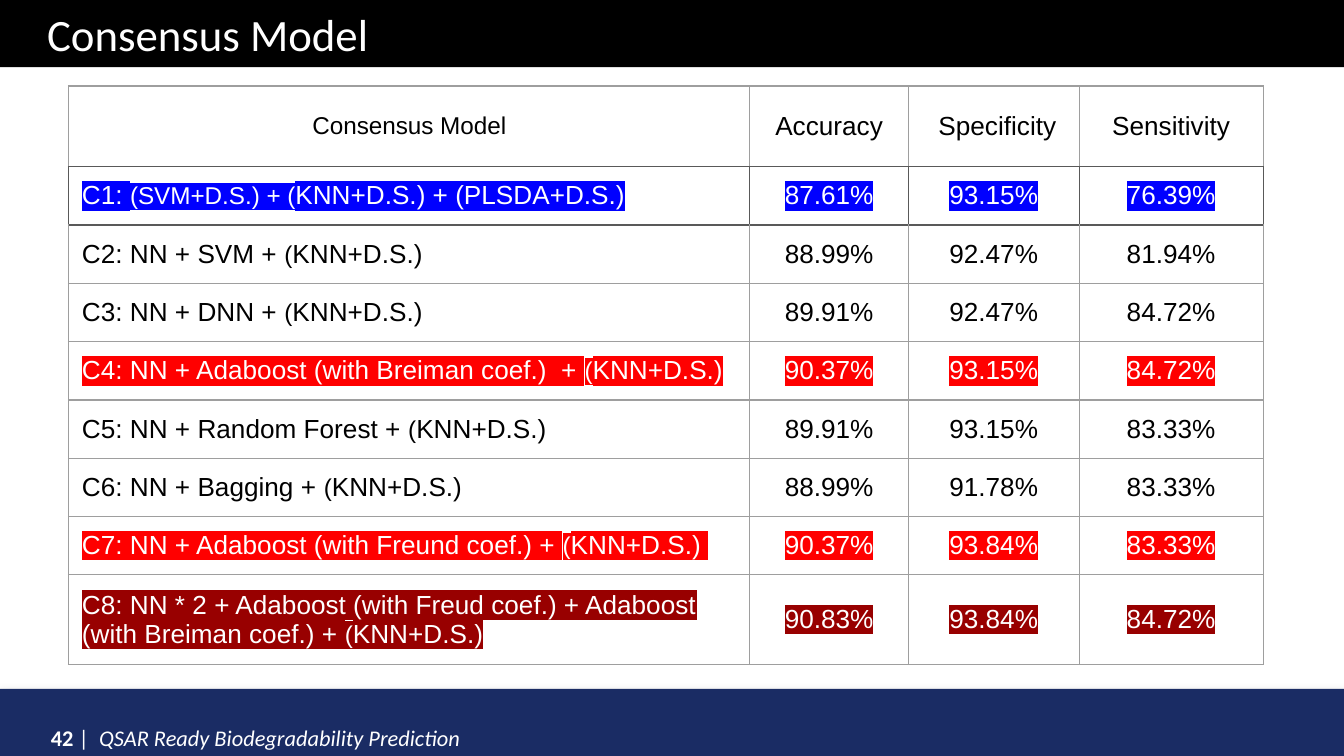
from lxml.etree import SubElement
from pptx import Presentation
from pptx.dml.color import RGBColor
from pptx.enum.shapes import MSO_SHAPE
from pptx.enum.text import MSO_ANCHOR, PP_ALIGN
from pptx.oxml.ns import qn
from pptx.util import Inches, Pt

# A 16:9 slide
SLIDE_WIDTH = 10
SLIDE_HEIGHT = SLIDE_WIDTH * 9 / 16
BAR_HEIGHT = 0.5

BLACK = RGBColor(0x00, 0x00, 0x00)
WHITE = RGBColor(0xFF, 0xFF, 0xFF)
NAVY = RGBColor(0x1A, 0x2C, 0x64)
SHADOW_GREY = RGBColor(0x80, 0x80, 0x80)
GRID_GREY = RGBColor(0x9E, 0x9E, 0x9E)
DARK_GREY = RGBColor(0x59, 0x59, 0x59)
BLUE = RGBColor(0x00, 0x00, 0xFF)
RED = RGBColor(0xFF, 0x00, 0x00)
DARK_RED = RGBColor(0x98, 0x00, 0x00)

HEADINGS = [("Consensus Model", 13), ("Accuracy", 14), (" Specificity", 14), ("Sensitivity", 14)]
KNN = [("(", 13), ("KNN+D.S.)", 14)]
# Model as (text, size) runs, then accuracy, specificity, sensitivity, highlight
MODELS = [
    ([("C1: ", 14), ("(SVM+D.S.) + (", 13), ("KNN+D.S.) + (PLSDA+D.S.)", 14)],
     "87.61%", "93.15%", "76.39%", BLUE),
    ([("C2: NN + SVM + ", 14)] + KNN, "88.99%", "92.47%", "81.94%", None),
    ([("C3: NN + DNN + ", 14)] + KNN, "89.91%", "92.47%", "84.72%", None),
    ([("C4: NN + Adaboost (with Breiman coef.)  + ", 14)] + KNN,
     "90.37%", "93.15%", "84.72%", RED),
    ([("C5: NN + Random Forest + ", 14)] + KNN, "89.91%", "93.15%", "83.33%", None),
    ([("C6: NN + Bagging + ", 14)] + KNN, "88.99%", "91.78%", "83.33%", None),
    ([("C7: NN + Adaboost (with Freund coef.) + ", 14)] + KNN + [(" ", 14)],
     "90.37%", "93.84%", "83.33%", RED),
    ([("C8: NN * 2 + Adaboost (with Freud coef.) + Adaboost (with Breiman coef.) + ", 14)] + KNN,
     "90.83%", "93.84%", "84.72%", DARK_RED),
]
COLUMN_WIDTHS = [5.07, 1.18, 1.27, 1.37]
ROW_HEIGHTS = [0.6] + [0.43] * 7 + [0.66]


def add_color(parent, color):
    return SubElement(parent, qn("a:srgbClr"), val=str(color))


def add_bar(slide, top, color):
    bar = slide.shapes.add_shape(MSO_SHAPE.RECTANGLE, 0, Inches(top),
                                 Inches(SLIDE_WIDTH), Inches(BAR_HEIGHT))
    bar.shadow.inherit = False
    bar.fill.solid()
    bar.fill.fore_color.rgb = color
    bar.line.fill.background()
    return bar


def add_soft_shadow(shape):
    effects = shape._element.spPr.find(qn("a:effectLst"))
    shadow = SubElement(effects, qn("a:outerShdw"), blurRad=str(Pt(5)), dist=str(Pt(1.8)),
                        dir="5400000", rotWithShape="0")
    SubElement(add_color(shadow, SHADOW_GREY), qn("a:alpha"), val="35000")


def set_title(slide, header_bar):
    title = slide.shapes.title
    title.left, title.top = Inches(0.25), Inches(0)
    title.width, title.height = Inches(2.76), Inches(BAR_HEIGHT)
    title.text_frame.text = "Consensus Model"
    heading = title.text_frame.paragraphs[0]
    heading.alignment = PP_ALIGN.LEFT
    heading.font.name, heading.font.size = "Calibri", Pt(24)
    heading.font.color.rgb = WHITE
    # Bring the title in front of its bar
    header_bar._element.addnext(title._element)


def add_footer(slide):
    box = slide.shapes.add_textbox(Inches(0.28), Inches(5.14), Inches(7.42), Inches(0.3))
    box.text_frame.word_wrap = True
    footer = box.text_frame.paragraphs[0]
    footer.line_spacing = 2.0
    footer.font.name, footer.font.size = "Calibri", Pt(12)
    footer.font.color.rgb = WHITE
    for text, bold, italic in [("42 ", True, False), ("|  ", False, False),
                               ("QSAR Ready Biodegradability Prediction", False, True)]:
        run = footer.add_run()
        run.text = text
        run.font.bold, run.font.italic = bold, italic


def set_borders(cell, top, bottom, sides):
    properties = cell._tc.get_or_add_tcPr()
    edges = [("a:lnL", sides), ("a:lnR", sides), ("a:lnT", top), ("a:lnB", bottom)]
    for position, (edge, color) in enumerate(edges):
        line = SubElement(properties, qn(edge), w=str(Pt(0.75)))
        add_color(SubElement(line, qn("a:solidFill")), color)
        properties.insert(position, line)


def fill_cell(cell, runs, alignment, highlight=None):
    cell.fill.background()
    cell.vertical_anchor = MSO_ANCHOR.MIDDLE
    cell.margin_left = cell.margin_right = Inches(0.1)
    cell.margin_top = cell.margin_bottom = Inches(0.1)
    paragraph = cell.text_frame.paragraphs[0]
    paragraph.alignment = alignment
    paragraph.font.name = "Arial"
    for text, size in runs:
        run = paragraph.add_run()
        run.text = text
        run.font.size = Pt(size)
        run.font.color.rgb = WHITE if highlight else BLACK
        if highlight:
            add_color(SubElement(run.font._element, qn("a:highlight")), highlight)


def add_results_table(slide):
    frame = slide.shapes.add_table(len(ROW_HEIGHTS), len(COLUMN_WIDTHS), Inches(0.51), Inches(0.64),
                                   Inches(sum(COLUMN_WIDTHS)), Inches(sum(ROW_HEIGHTS)))
    results = frame.table
    results.first_row = results.horz_banding = False
    for column, width in zip(results.columns, COLUMN_WIDTHS):
        column.width = Inches(width)
    for row, height in zip(results.rows, ROW_HEIGHTS):
        row.height = Inches(height)

    # Headings, then one row per model
    for column, heading in enumerate(HEADINGS):
        fill_cell(results.cell(0, column), [heading], PP_ALIGN.CENTER)
    for row, (model, *scores, highlight) in enumerate(MODELS, start=1):
        fill_cell(results.cell(row, 0), model, PP_ALIGN.LEFT, highlight)
        for column, score in enumerate(scores, start=1):
            fill_cell(results.cell(row, column), [(score, 14)], PP_ALIGN.CENTER, highlight)

    # The first model is framed in a darker grey
    for index, row in enumerate(results.rows):
        top = DARK_GREY if index in (1, 2) else GRID_GREY
        bottom = DARK_GREY if index in (0, 1) else GRID_GREY
        sides = DARK_GREY if index == 1 else GRID_GREY
        for cell in row.cells:
            set_borders(cell, top, bottom, sides)


def main():
    deck = Presentation()
    deck.slide_width, deck.slide_height = Inches(SLIDE_WIDTH), Inches(SLIDE_HEIGHT)
    slide = deck.slides.add_slide(deck.slide_layouts[5])
    # Header
    set_title(slide, add_bar(slide, 0, BLACK))
    # Footer
    add_soft_shadow(add_bar(slide, SLIDE_HEIGHT - BAR_HEIGHT, NAVY))
    add_footer(slide)
    # Scores of the consensus models
    add_results_table(slide)
    deck.save("out.pptx")


if __name__ == "__main__":
    main()
